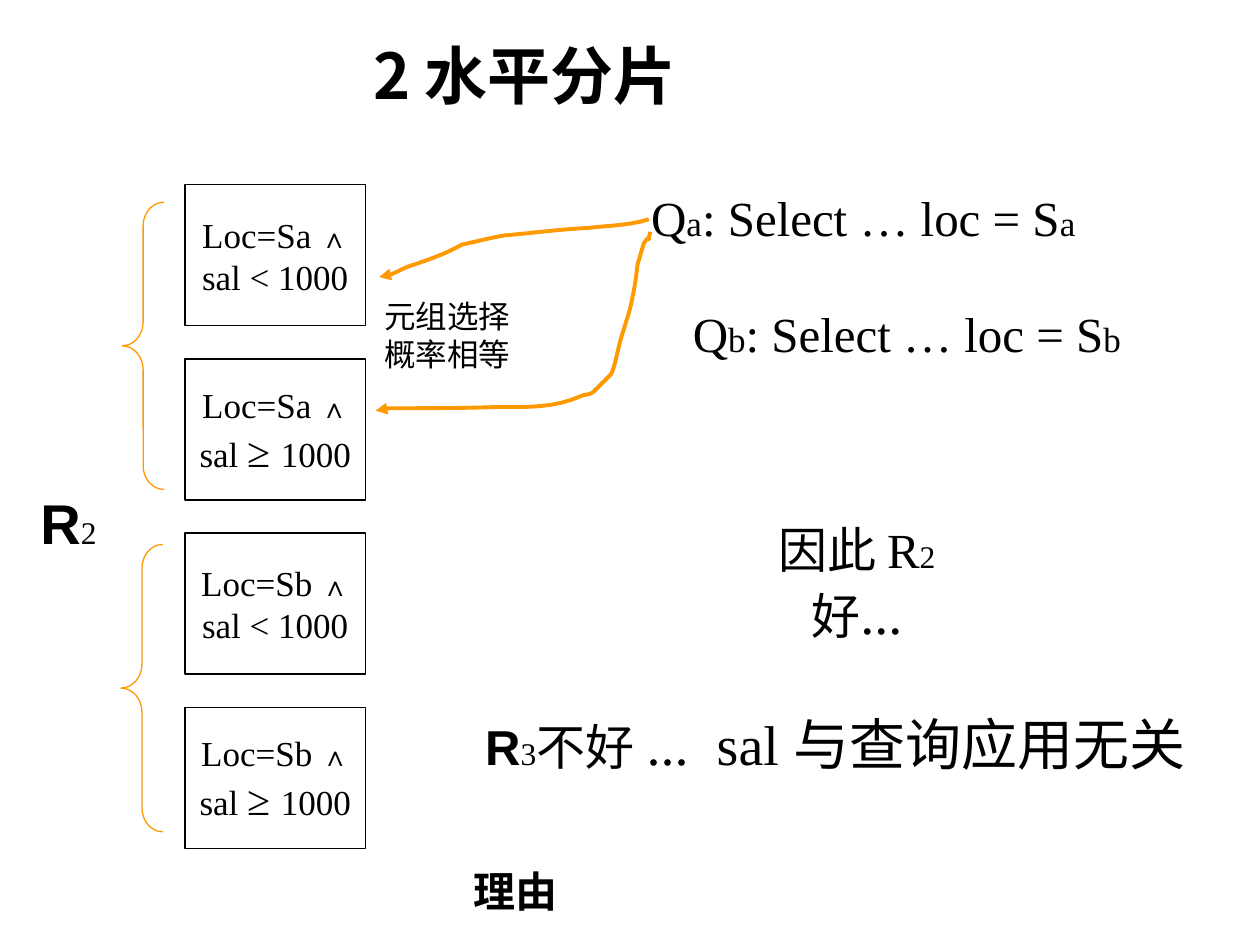
from lxml import etree
from pptx import Presentation
from pptx.dml.color import RGBColor
from pptx.enum import shapes, text
from pptx.oxml.ns import qn
from pptx.util import Pt

BLACK = RGBColor(0, 0, 0)
WHITE = RGBColor(255, 255, 255)
ORANGE = RGBColor(255, 153, 0)
ROMAN, SANS, CJK = "Times New Roman", "Arial", "Noto Sans CJK SC"
LEFT, MID = text.PP_ALIGN.LEFT, text.PP_ALIGN.CENTER


def write(frame, paras, align=LEFT, wrap=False, anchor=text.MSO_ANCHOR.MIDDLE):
    look = {"word_wrap": wrap, "vertical_anchor": anchor}
    for key, val in look.items():
        setattr(frame, key, val)
    for i, runs in enumerate(paras):
        para = frame.add_paragraph() if i else frame.paragraphs[0]
        para.alignment = align
        for words, size, *rest in runs:
            if words.startswith("\n"):
                para.add_line_break()
            run = para.add_run()
            run.text = words.lstrip("\n")
            form = {"size": Pt(size), "bold": False, "name": ROMAN}
            form.update(*rest)
            for key, val in form.items():
                setattr(run.font, key, val)
            run.font.color.rgb = BLACK
            east = etree.SubElement(run.font._element, qn("a:ea"))
            east.set("typeface", CJK)


def trim(shape, color, width, fill=None):
    shape.shadow.inherit = False
    if fill is None:
        shape.fill.background()
    else:
        shape.fill.solid()
        shape.fill.fore_color.rgb = fill
    shape.line.color.rgb = color
    shape.line.width = Pt(width)


deck = Presentation()
deck.slide_width, deck.slide_height = Pt(720), Pt(540)
slide = deck.slides.add_slide(deck.slide_layouts[5])
BOLD = {"bold": True}

title = slide.shapes.title
place = {"left": 206, "top": 17.3, "width": 360, "height": 50.4}
for key, val in place.items():
    setattr(title, key, Pt(val))
write(title.text_frame, [[("2 水平分片", 36, {"bold": True, "name": CJK})]],
      wrap=True, anchor=text.MSO_ANCHOR.TOP)

low = [("sal < 1000", 20)]
high = [("sal ", 20), ("≥ ", 24), ("1000", 20)]
frags = [("Sa", low), ("Sa", high), ("Sb", low), ("Sb", high)]
for i, (site, pay) in enumerate(frags):
    box = slide.shapes.add_shape(shapes.MSO_SHAPE.RECTANGLE, Pt(105.8),
                                 Pt(105.6 + i * 99.5), Pt(103), Pt(80.6))
    trim(box, BLACK, 0.75, WHITE)
    write(box.text_frame, [[(f"Loc={site} ", 20), ("∧", 16, BOLD)], pay], MID)

for x, y in [(69.8, 115.5), (69.1, 311.1)]:
    brace = slide.shapes.add_shape(shapes.MSO_SHAPE.LEFT_BRACE,
                                   Pt(x), Pt(y), Pt(24), Pt(164.2))
    brace.adjustments[0] = 0.57
    trim(brace, ORANGE, 0.75)

curves = [
    [(370.8, 125.3), (360, 128.9), (347.8, 128.9), (336.2, 130.3),
     (320.4, 131), (304.6, 133.2), (288, 134.6),
     (280, 136), (272, 138.2), (264.2, 139.7),
     (254.2, 145.4), (243.4, 149), (232.6, 152.6),
     (227.5, 154.8), (221.8, 158.4), (216.7, 158.4)],
    [(371.5, 132.5), (369.4, 142.6), (373, 131), (367.9, 139),
     (367.2, 141.1), (365, 149), (364.3, 151.2),
     (363.6, 157), (362.9, 163.4), (361.4, 169.9),
     (360, 178.6), (356.4, 187.2), (354.2, 195.8),
     (352.8, 200.9), (351.4, 209.5), (349.2, 213.8),
     (349.2, 213.8), (341.3, 221.8), (339.1, 223.9),
     (337.7, 225.4), (334.8, 225.4), (332.6, 226.1),
     (316.8, 233.3), (301.7, 232.6), (284.4, 232.6),
     (263.5, 233.3), (243.4, 233.3), (222.5, 233.3),
     (215.3, 234.7), (218.2, 234.7), (214.6, 234.7)],
]
STEPS = 8
for knots in curves:
    dots = []
    for i in range(0, len(knots) - 1, 3):
        for step in range(1, STEPS + 1):
            t = step / STEPS
            parts = ((1 - t) ** 3, 3 * t * (1 - t) ** 2,
                     3 * t * t * (1 - t), t ** 3)
            dots.append([Pt(sum(w * k[axis] for w, k in
                                zip(parts, knots[i:i + 4])))
                         for axis in (0, 1)])
    pen = slide.shapes.build_freeform(*map(Pt, knots[0]))
    pen.add_line_segments(dots, close=False)
    arrow = pen.convert_to_shape()
    trim(arrow, ORANGE, 2.25)
    etree.SubElement(arrow.line._get_or_add_ln(), qn("a:tailEnd"),
                     type="triangle")

HEAD = {"bold": True, "name": SANS}
notes = [
    (15.8, 275.8, 46.8, 45.4, MID, [[("R", 32, HEAD), ("2", 18)]]),
    (212.4, 166.3, 86.4, 50.4, LEFT, [[("元组选择", 18)], [("概率相等", 18)]]),
    (411.1, 310.3, 157, 45.4, MID,
     [[("因此 R", 28), ("2", 18), ("\n好", 28), ("...", 32)]]),
    (267.1, 401.8, 434.9, 46.1, MID,
     [[("R", 28, HEAD), ("3", 18), ("不好", 28),
       (" ...  sal 与查询应用无关  ", 32)]]),
    (263.5, 491, 141.8, 36, LEFT, [[("理由", 24, BOLD)]]),
]
for x, y, site in [(365, 103.7, "a"), (388.8, 169.9, "b")]:
    notes.append((x, y, 265, 41, LEFT,
                  [[("Q", 28), (site, 20), (": Select … loc = S", 28),
                    (site, 20), (" ", 28)]]))
for x, y, w, h, align, paras in notes:
    note = slide.shapes.add_textbox(Pt(x), Pt(y), Pt(w), Pt(h))
    write(note.text_frame, paras, align)

deck.save("out.pptx")
